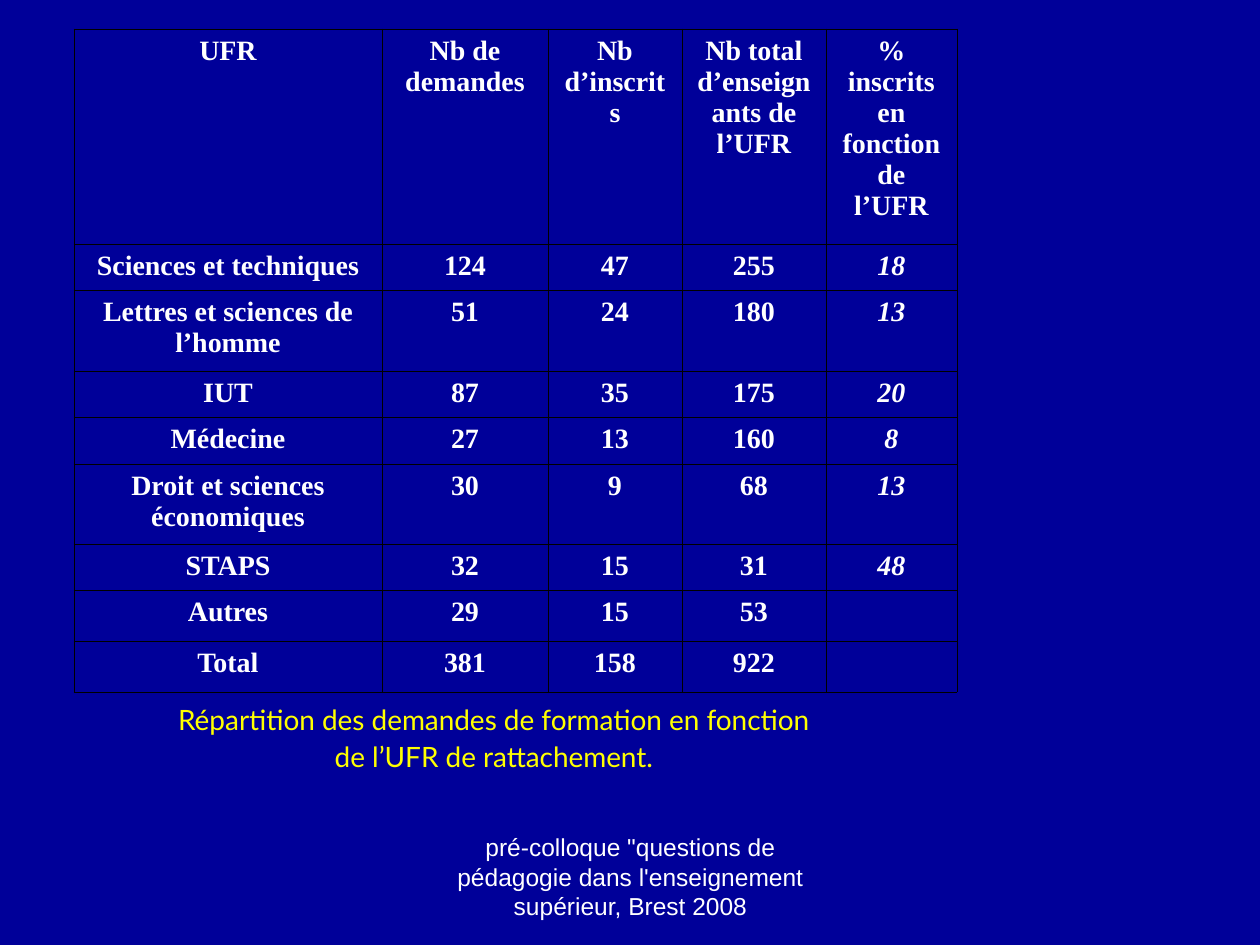
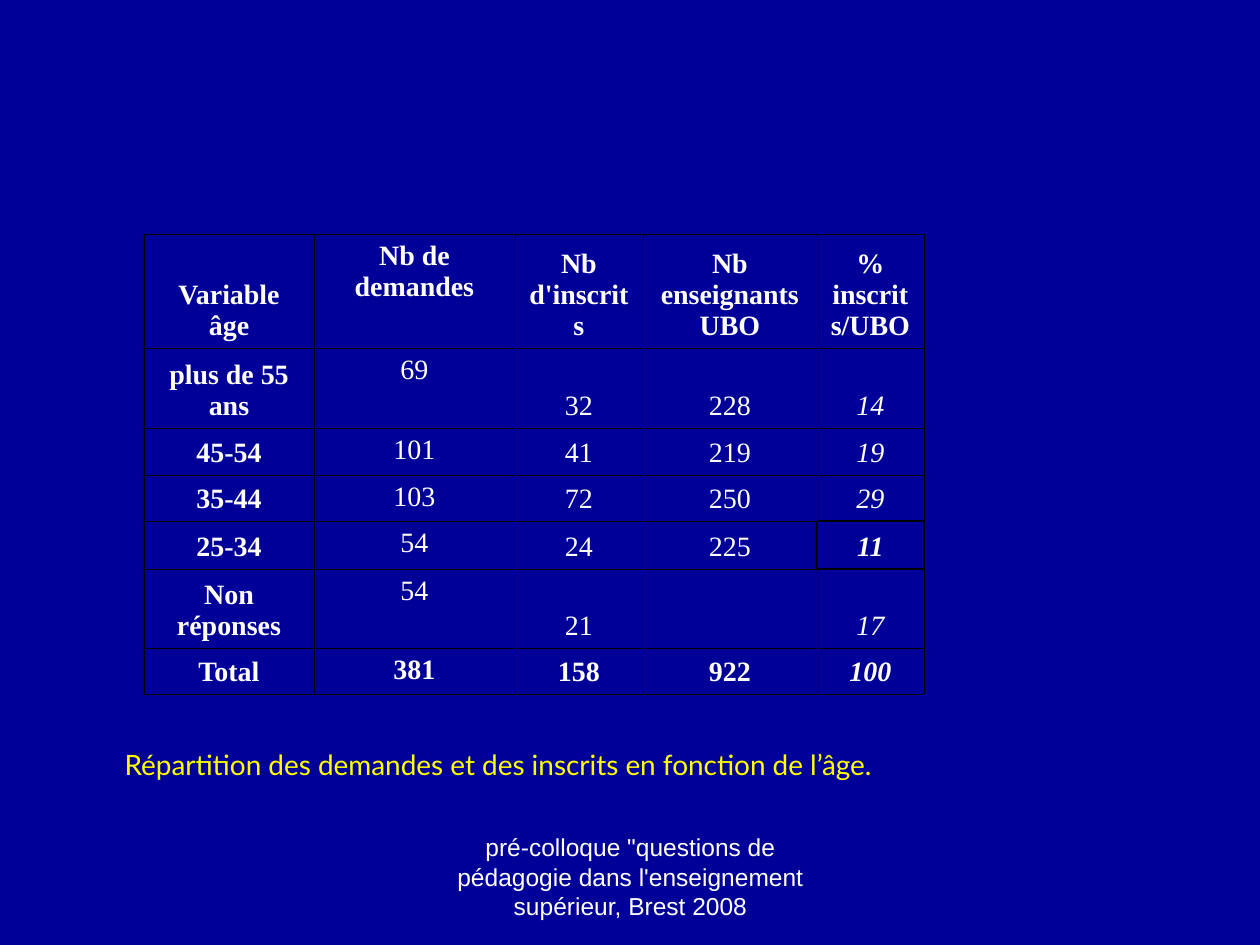
"""Build two slides of training statistics, each a table with its caption."""
from dataclasses import dataclass
from typing import Optional

from lxml.etree import SubElement
from pptx import Presentation
from pptx.dml.color import RGBColor
from pptx.enum.text import MSO_ANCHOR, MSO_AUTO_SIZE, PP_ALIGN
from pptx.oxml.ns import qn
from pptx.util import Pt

EMU_PER_PX = 914400 / 126
SLIDE_WIDTH, SLIDE_HEIGHT = 1260, 945
TITLE_ONLY_LAYOUT = 5
NAVY, WHITE, YELLOW, BLACK = "000099", "FFFFFF", "FFFF00", "000000"
TABLE_FONT, CAPTION_FONT, FOOTER_FONT = "Times New Roman", "Lato", "Arial"
FOOTER = "pré-colloque \"questions de pédagogie dans l'enseignement supérieur, Brest 2008"
THICK_BORDER = 0.96
BORDER_SIDES = {"lnL": (0, -1), "lnR": (0, 1), "lnT": (-1, 0), "lnB": (1, 0)}


@dataclass(frozen=True)
class Area:
    """Position and size in px."""
    left: int
    top: int
    width: int
    height: int

    def emu(self) -> tuple:
        """Return the four lengths in EMU."""
        return tuple(px(length) for length in (self.left, self.top, self.width, self.height))


@dataclass(frozen=True)
class Caption:
    """Yellow text under a table."""
    text: str
    area: Area
    align: PP_ALIGN


@dataclass(frozen=True)
class StatTable:
    """Table contents with its grid and emphasis rules."""
    left: int
    top: int
    widths: list
    heights: list
    rows: list
    border: float
    all_bold: bool
    bottom_columns: tuple = ()
    highlight: Optional[tuple] = None

    def is_bold(self, row: int, column: int) -> bool:
        """Tell whether a cell is a heading, a total or highlighted."""
        edge = row in (0, len(self.rows) - 1) or column == 0
        return self.all_bold or edge or (row, column) == self.highlight

    def is_italic(self, row: int, column: int) -> bool:
        """Tell whether a cell holds a percentage."""
        return row > 0 and column == len(self.widths) - 1

    def border_width(self, row: int, column: int, side: str) -> float:
        """Return the width of one border, thick around the highlight."""
        down, across = BORDER_SIDES[side]
        touching = ((row, column), (row + down, column + across))
        return THICK_BORDER if self.highlight in touching else self.border


def px(length: int) -> int:
    """Turn px into EMU."""
    return round(length * EMU_PER_PX)


def color(value: str) -> RGBColor:
    """Turn a hex string into a colour."""
    return RGBColor.from_string(value)


def write(frame, text: str, *, font: str, size: int = 16, fill: str = WHITE,
          bold: bool = False, italic: bool = False, align=PP_ALIGN.CENTER,
          gap: int = 0) -> None:
    """Write each line of the text as a formatted paragraph."""
    for index, line in enumerate(text.split("\n")):
        para = frame.add_paragraph() if index else frame.paragraphs[0]
        para.alignment = align
        if index and gap:
            para.space_before = Pt(gap)
        span = para.add_run()
        span.text = line
        span.font.name, span.font.size = font, Pt(size)
        span.font.bold, span.font.italic = bold, italic
        span.font.color.rgb = color(fill)


def draw_border(cell, side: str, width: float) -> None:
    """Add one black border line to a cell."""
    line = SubElement(cell._tc.get_or_add_tcPr(), qn(f"a:{side}"), w=str(int(Pt(width))))
    fill = SubElement(line, qn("a:solidFill"))
    SubElement(fill, qn("a:srgbClr"), val=BLACK)


def draw_table(page, stats: StatTable) -> None:
    """Draw a table with transparent cells and thin borders."""
    area = Area(stats.left, stats.top, sum(stats.widths), sum(stats.heights))
    table = page.shapes.add_table(len(stats.rows), len(stats.widths), *area.emu()).table
    table.first_row = table.horz_banding = False
    for column, width in zip(table.columns, stats.widths):
        column.width = px(width)
    for row, height in zip(table.rows, stats.heights):
        row.height = px(height)
    for row, texts in enumerate(stats.rows):
        for column, text in enumerate(texts):
            cell = table.cell(row, column)
            bottom = column in stats.bottom_columns
            cell.vertical_anchor = MSO_ANCHOR.BOTTOM if bottom else MSO_ANCHOR.TOP
            for side in BORDER_SIDES:
                draw_border(cell, side, stats.border_width(row, column, side))
            cell.fill.background()
            if text:
                write(cell.text_frame, text, font=TABLE_FONT,
                      bold=stats.is_bold(row, column), italic=stats.is_italic(row, column))


def draw_caption(page, caption: Caption) -> None:
    """Place the title under the table as its caption."""
    title = page.shapes.title
    title.left, title.top, title.width, title.height = caption.area.emu()
    frame = title.text_frame
    frame.auto_size, frame.word_wrap = MSO_AUTO_SIZE.NONE, False
    frame.vertical_anchor = MSO_ANCHOR.TOP
    write(frame, caption.text, font=CAPTION_FONT, fill=YELLOW, align=caption.align, gap=2)


def draw_footer(page) -> None:
    """Draw the conference name at the foot of the page."""
    box = page.shapes.add_textbox(*Area(431, 861, 399, 66).emu())
    box.text_frame.word_wrap = True
    box.text_frame.vertical_anchor = MSO_ANCHOR.BOTTOM
    write(box.text_frame, FOOTER, font=FOOTER_FONT, size=14)


FACULTY_TABLE = StatTable(
    left=74, top=29, border=0.45, all_bold=True,
    widths=[308, 166, 134, 144, 131],
    heights=[215, 46, 81, 46, 47, 80, 46, 48, 48],
    rows=[
        ["UFR", "Nb de\ndemandes", "Nb\nd’inscrits", "Nb total d’enseignants de l’UFR",
         "% inscrits en fonction de l’UFR"],
        ["Sciences et techniques", "124", "47", "255", "18"],
        ["Lettres et sciences de l’homme", "51", "24", "180", "13"],
        ["IUT", "87", "35", "175", "20"],
        ["Médecine", "27", "13", "160", "8"],
        ["Droit et sciences économiques", "30", "9", "68", "13"],
        ["STAPS", "32", "15", "31", "48"],
        ["Autres", "29", "15", "53", ""],
        ["Total", "381", "158", "922", ""],
    ])
AGE_TABLE = StatTable(
    left=144, top=234, border=0.06, all_bold=False,
    widths=[170, 201, 128, 174, 107],
    heights=[114, 80, 47, 46, 48, 79, 46],
    bottom_columns=(0, 2, 3, 4), highlight=(4, 4),
    rows=[
        ["Variable âge", "Nb de demandes", "Nb d'inscrits", "Nb enseignants UBO",
         "% inscrits/UBO"],
        ["plus de 55 ans", "69", "32", "228", "14"],
        ["45-54", "101", "41", "219", "19"],
        ["35-44", "103", "72", "250", "29"],
        ["25-34", "54", "24", "225", "11"],
        ["Non réponses", "54", "21", "", "17"],
        ["Total", "381", "158", "922", "100"],
    ])
PAGES = [
    (FACULTY_TABLE, Caption("Répartition des demandes de formation en fonction\n"
                            "de l’UFR de rattachement.",
                            Area(138, 696, 712, 84), PP_ALIGN.CENTER)),
    (AGE_TABLE, Caption("Répartition des demandes et des inscrits en fonction de l’âge.",
                        Area(112, 741, 837, 47), PP_ALIGN.LEFT)),
]


def main() -> None:
    """Build and save the deck."""
    deck = Presentation()
    deck.slide_width, deck.slide_height = px(SLIDE_WIDTH), px(SLIDE_HEIGHT)
    background = deck.slide_master.background.fill
    background.solid()
    background.fore_color.rgb = color(NAVY)
    for stats, caption in PAGES:
        page = deck.slides.add_slide(deck.slide_layouts[TITLE_ONLY_LAYOUT])
        draw_table(page, stats)
        draw_caption(page, caption)
        draw_footer(page)
    deck.save("out.pptx")


if __name__ == "__main__":
    main()
